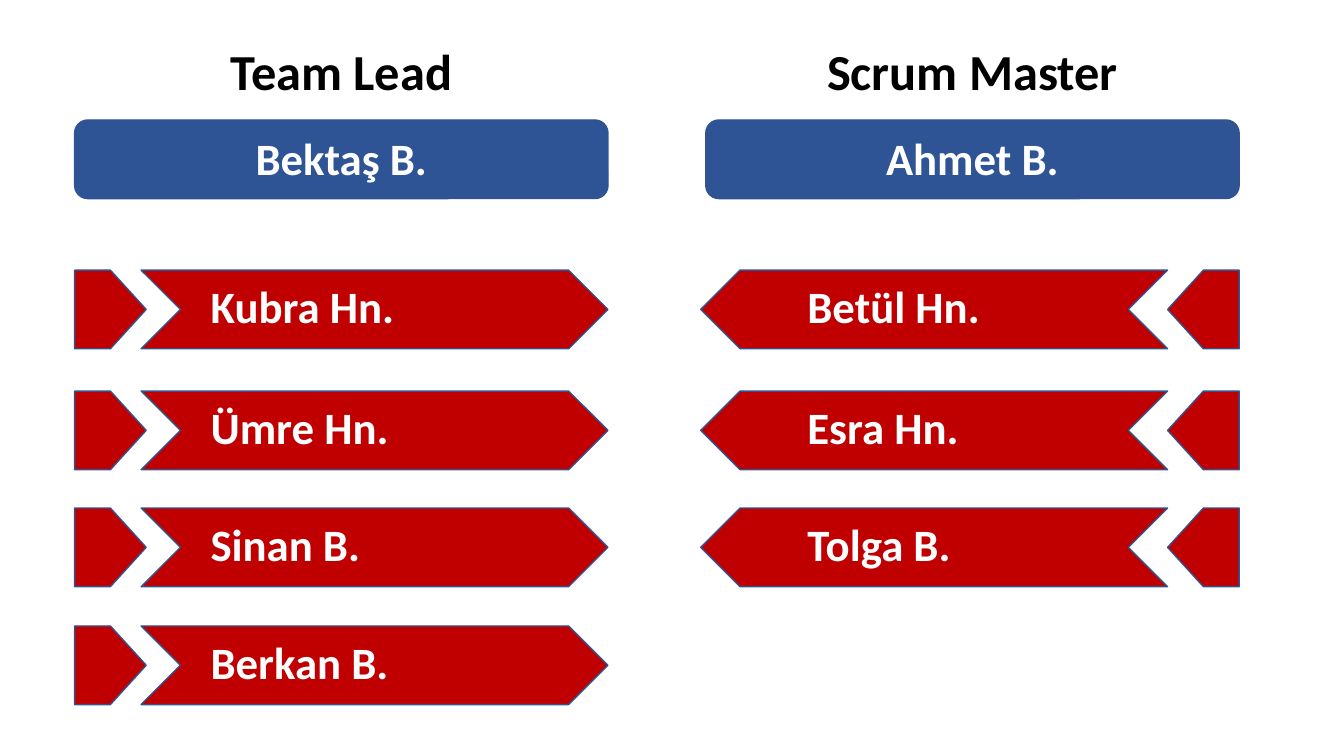
from dataclasses import dataclass

from pptx import Presentation
from pptx.dml.color import RGBColor
from pptx.enum.shapes import MSO_SHAPE
from pptx.enum.text import MSO_AUTO_SIZE, PP_ALIGN
from pptx.slide import Slide
from pptx.util import Inches, Pt

ROUNDED = MSO_SHAPE.ROUNDED_RECTANGLE
PENTAGON = MSO_SHAPE.PENTAGON
CHEVRON = MSO_SHAPE.CHEVRON
FIT_SHAPE = MSO_AUTO_SIZE.SHAPE_TO_FIT_TEXT
LEFT = PP_ALIGN.LEFT
CENTER = PP_ALIGN.CENTER


@dataclass(frozen=True)
class Theme:
    font: str = "Calibri"
    blue: RGBColor = RGBColor(0x2F, 0x54, 0x96)
    red: RGBColor = RGBColor(0xC0, 0x00, 0x00)
    outline: RGBColor = RGBColor(0x31, 0x53, 0x8F)
    white: RGBColor = RGBColor(0xFF, 0xFF, 0xFF)
    black: RGBColor = RGBColor(0x00, 0x00, 0x00)
    role_size: int = 36
    name_size: int = 32
    outline_width: int = 1


@dataclass(frozen=True)
class Area:
    left: float
    top: float
    width: float
    height: float

    def lengths(self) -> tuple[int, ...]:
        return tuple(map(Inches, (self.left, self.top, self.width, self.height)))


@dataclass(frozen=True)
class Team:
    role: str
    leader: str
    members: tuple[str, ...]
    left: float
    tag_left: float
    banner_left: float
    name_left: float
    rotation: int


THEME = Theme()
COLUMN_WIDTH = 5.29
BAR_HEIGHT = 0.78
TAG_WIDTH = 0.71
BANNER_WIDTH = 4.63
NAME_WIDTH = 3.67
NAME_HEIGHT = 0.64
ROLE_TOP, ROLE_HEIGHT = 0.35, 0.71
LEADER_TOP, LEADER_INSET = 1.19, 0.06
MEMBER_TOPS = (2.68, 3.88, 5.04, 6.21)
MEMBER_INSET = 0.04

TEAMS = (
    Team("Team Lead", "Bektaş B.",
         ("Kubra Hn.", "Ümre Hn.", "Sinan B.", "Berkan B."),
         left=0.74, tag_left=0.74, banner_left=1.4, name_left=1.99, rotation=0),
    Team("Scrum Master", "Ahmet B.",
         ("Betül Hn.", "Esra Hn.", "Tolga B."),
         left=7, tag_left=11.58, banner_left=6.95, name_left=7.91, rotation=180),
)


def add_bar(page: Slide, kind: MSO_SHAPE, area: Area, color: RGBColor,
            rotation: int = 0) -> None:
    bar = page.shapes.add_shape(kind, *area.lengths())
    bar.rotation = rotation
    bar.shadow.inherit = False
    bar.fill.solid()
    bar.fill.fore_color.rgb = color
    bar.line.color.rgb = THEME.outline
    bar.line.width = Pt(THEME.outline_width)


def add_label(page: Slide, text: str, area: Area, size: int, color: RGBColor,
              alignment: PP_ALIGN) -> None:
    box = page.shapes.add_textbox(*area.lengths())
    box.text_frame.word_wrap = True
    box.text_frame.auto_size = FIT_SHAPE
    para = box.text_frame.paragraphs[0]
    para.alignment = alignment
    span = para.add_run()
    span.text = text
    font_format = {"name": THEME.font, "size": Pt(size), "bold": True}
    for attribute, value in font_format.items():
        setattr(span.font, attribute, value)
    span.font.color.rgb = color


def add_member(page: Slide, team: Team, name: str, top: float) -> None:
    for kind, left, width in ((PENTAGON, team.tag_left, TAG_WIDTH),
                              (CHEVRON, team.banner_left, BANNER_WIDTH)):
        add_bar(page, kind, Area(left, top, width, BAR_HEIGHT), THEME.red, team.rotation)
    name_area = Area(team.name_left, top + MEMBER_INSET, NAME_WIDTH, NAME_HEIGHT)
    add_label(page, name, name_area, THEME.name_size, THEME.white, LEFT)


def add_team(page: Slide, team: Team) -> None:
    role_area = Area(team.left, ROLE_TOP, COLUMN_WIDTH, ROLE_HEIGHT)
    add_label(page, team.role, role_area, THEME.role_size, THEME.black, CENTER)
    add_bar(page, ROUNDED, Area(team.left, LEADER_TOP, COLUMN_WIDTH, BAR_HEIGHT), THEME.blue)
    leader_area = Area(team.left, LEADER_TOP + LEADER_INSET, COLUMN_WIDTH, NAME_HEIGHT)
    add_label(page, team.leader, leader_area, THEME.name_size, THEME.white, CENTER)
    for name, top in zip(team.members, MEMBER_TOPS):
        add_member(page, team, name, top)


def main() -> None:
    deck = Presentation()
    deck.slide_width = Inches(13.33)
    deck.slide_height = Inches(7.5)
    page = deck.slides.add_slide(deck.slide_layouts[6])
    for team in TEAMS:
        add_team(page, team)
    deck.save("out.pptx")


if __name__ == "__main__":
    main()
